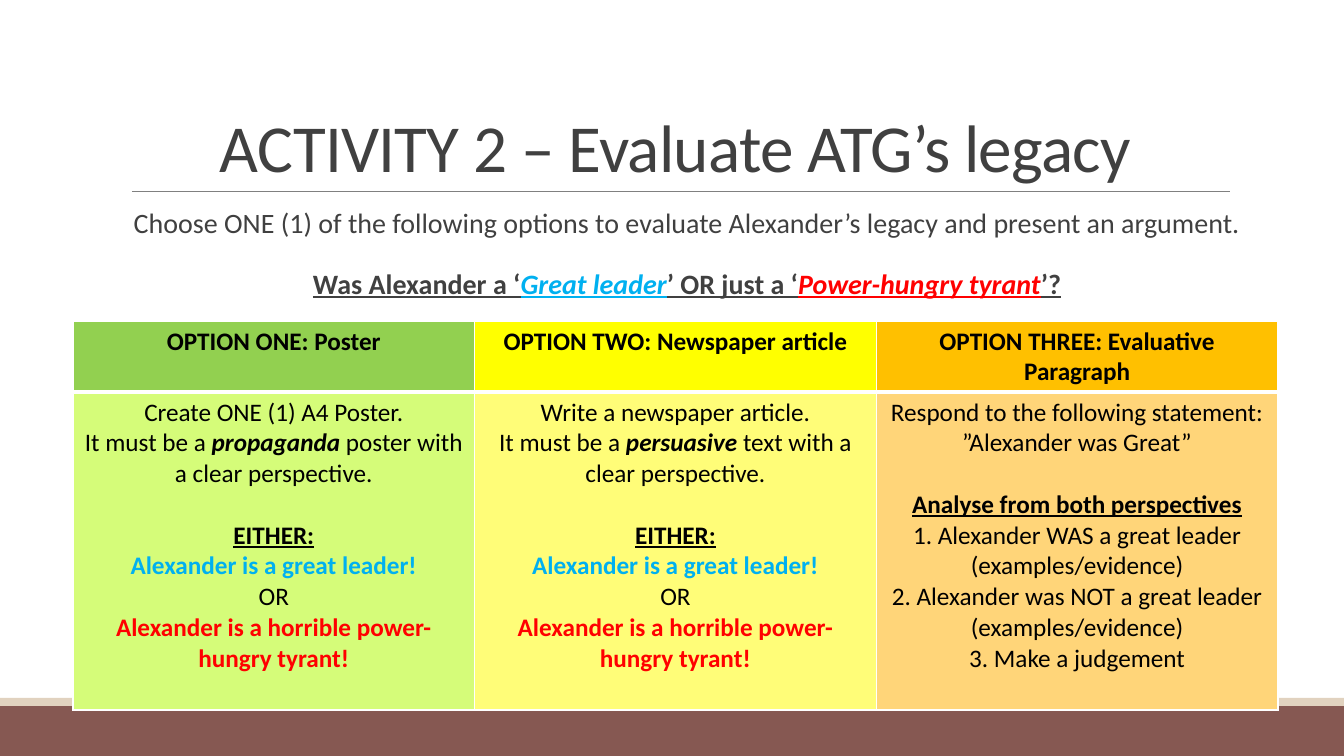
from pptx import Presentation
from pptx.dml.color import RGBColor
from pptx.enum.shapes import MSO_CONNECTOR, MSO_SHAPE
from pptx.enum.text import MSO_ANCHOR, PP_ALIGN
from pptx.oxml.ns import qn
from pptx.util import Pt
from lxml.etree import SubElement

PX = 914400 / 100.8
WIDTH, HEIGHT = 1344, 756

WHITE = RGBColor(0xFF, 0xFF, 0xFF)
BLACK = RGBColor(0, 0, 0)
DARK = RGBColor(0x40, 0x40, 0x40)
GREY = RGBColor(0x80, 0x80, 0x80)
BROWN = RGBColor(0x86, 0x58, 0x52)
SAND = RGBColor(0xE1, 0xD2, 0xBF)
BLUE = RGBColor(0x00, 0xB0, 0xF0)
RED = RGBColor(0xFF, 0x00, 0x00)
HEADS = [RGBColor(0x92, 0xD0, 0x50), RGBColor(0xFF, 0xFF, 0x00), RGBColor(0xFF, 0xC0, 0x00)]
TINTS = [RGBColor(0xD5, 0xFC, 0x79), RGBColor(0xFF, 0xFD, 0x78), RGBColor(0xFF, 0xD5, 0x79)]

# Run formats
BOLD = dict(bold=True)
KEY = dict(bold=True, italic=True)
UNDER = dict(bold=True, line=True)
GOOD = dict(bold=True, color=BLUE)
BAD = dict(bold=True, color=RED)


def px(*nums):
    return [round(n * PX) for n in nums]


def write(para, text, size=18, color=BLACK, bold=False, italic=False, line=False, track=0):
    run = para.add_run()
    run.text = text
    font = run.font
    font.name, font.size = "Calibri", Pt(size)
    font.bold, font.italic, font.underline = bold, italic, line
    font.color.rgb = color
    if track:
        run._r.get_or_add_rPr().set("spc", str(track))


def fill_text(frame, paras, space=1.0, **base):
    """Each item is (points before, runs); each run is text or (text, format)."""
    frame.word_wrap = True
    for i, (gap, runs) in enumerate(paras):
        para = frame.add_paragraph() if i else frame.paragraphs[0]
        para.alignment = PP_ALIGN.CENTER
        para.line_spacing = space
        para.space_before = Pt(gap)
        for run in runs:
            text, style = (run, {}) if isinstance(run, str) else run
            write(para, text, **{**base, **style})


def add_base(slide, left, top, width, height):
    strip = 8
    for y, tall, color in [(top + strip, height - strip, BROWN), (top, strip, SAND)]:
        band = slide.shapes.add_shape(MSO_SHAPE.RECTANGLE, *px(left, y, width, tall))
        band.shadow.inherit = False
        band.fill.solid()
        band.fill.fore_color.rgb = color
        band.line.fill.background()


def add_title(slide, left, top, width, height):
    # Rule under the title
    base = top + height
    rule = slide.shapes.add_connector(
        MSO_CONNECTOR.STRAIGHT, *px(left + 11, base, left + width, base))
    rule.line.color.rgb = GREY
    rule.line.width = Pt(0.5)
    SubElement(rule._element.spPr, qn("a:effectLst"))
    # Title text
    frame = slide.shapes.add_textbox(*px(left, top, width, height)).text_frame
    frame.vertical_anchor = MSO_ANCHOR.BOTTOM
    fill_text(frame, [(0, ["ACTIVITY 2 – Evaluate ATG’s legacy"])],
              space=0.85, size=48, color=DARK, track=-50)


def add_task(slide, left, top, width, height):
    frame = slide.shapes.add_textbox(*px(left, top, width, height)).text_frame
    frame.margin_left, frame.margin_right = px(10, 0)
    fill_text(frame, [
        (0, ["Choose ONE (1) of the following options to evaluate Alexander’s "
             "legacy and present an argument."]),
        (22, [("Was Alexander a ‘", UNDER),
              ("Great leader", {**UNDER, **KEY, **GOOD}),
              ("’ OR just a ‘", UNDER),
              ("Power-hungry tyrant", {**UNDER, **KEY, **BAD}),
              ("’?", UNDER)]),
    ], space=0.9, size=20, color=DARK)


def add_border(cell, **widths):
    props = cell._tc.get_or_add_tcPr()
    for i, side in enumerate("LRTB"):
        edge = SubElement(props, qn(f"a:ln{side}"), w=str(Pt(widths.get(side, 1))))
        paint = SubElement(edge, qn("a:solidFill"))
        SubElement(paint, qn("a:srgbClr"), val=str(WHITE))
        props.remove(edge)
        props.insert(i, edge)


def make_side(task, key, rest):
    return [
        (0, [task]),
        (0, ["It must be a ", (key, KEY), rest]),
        (22, [("EITHER:", UNDER)]),
        (0, [("Alexander is a great leader!", GOOD)]),
        (0, ["OR"]),
        (0, [("Alexander is a horrible power-hungry tyrant!", BAD)]),
    ]


def add_options(slide, left, top, width, rows):
    heads = ["OPTION ONE: Poster", "OPTION TWO: Newspaper article",
             "OPTION THREE: Evaluative Paragraph"]
    bodies = [
        make_side("Create ONE (1) A4 Poster.", "propaganda",
                  " poster with a clear perspective."),
        make_side("Write a newspaper article.", "persuasive",
                  " text with a clear perspective."),
        [(0, ["Respond to the following statement:"]),
         (0, ["”Alexander was Great”"]),
         (22, [("Analyse from both perspectives", UNDER)]),
         (0, ["1. Alexander WAS a great leader (examples/evidence)"]),
         (0, ["2. Alexander was NOT a great leader (examples/evidence)"]),
         (0, ["3. Make a judgement"])],
    ]
    table = slide.shapes.add_table(
        2, len(heads), *px(left, top, width, sum(rows))).table
    table.first_row = table.horz_banding = False
    for row, tall in zip(table.rows, px(*rows)):
        row.height = tall
    for i, (head, body) in enumerate(zip(heads, bodies)):
        table.columns[i].width = px(width / len(heads))[0]
        parts = [([(0, [(head, BOLD)])], HEADS[i], 3), (body, TINTS[i], 1)]
        for j, (paras, color, under) in enumerate(parts):
            cell = table.cell(j, i)
            cell.fill.solid()
            cell.fill.fore_color.rgb = color
            add_border(cell, T=1 if j == 0 else 3, B=under)
            fill_text(cell.text_frame, paras)


def main():
    deck = Presentation()
    deck.slide_width, deck.slide_height = px(WIDTH, HEIGHT)
    slide = deck.slides.add_slide(deck.slide_layouts[6])
    add_base(slide, 0, 698, WIDTH, HEIGHT - 698)
    add_title(slide, 121, 31, 1109, 160)
    add_task(slide, 51, 204, 1262, 117)
    add_options(slide, 73, 321, 1205, [71, 318])
    deck.save("out.pptx")


if __name__ == "__main__":
    main()
